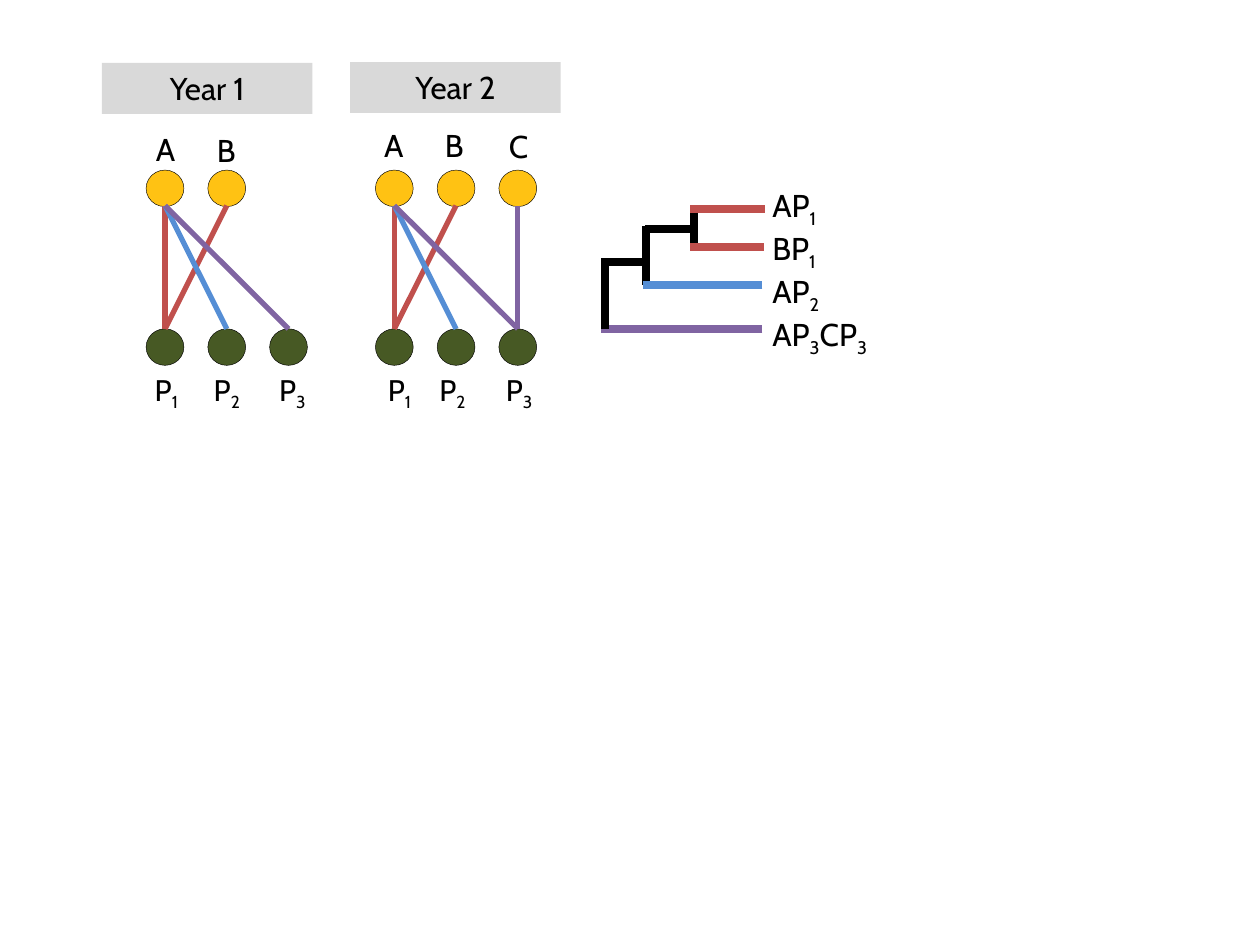
from dataclasses import dataclass

from lxml import etree
from pptx import Presentation
from pptx.dml.color import RGBColor
from pptx.enum import shapes as kinds, text as t
from pptx.oxml import ns
from pptx.util import Pt


@dataclass(frozen=True)
class Theme:
    font: str = "Cabin"
    body: float = 18
    node: float = 17
    black: str = "000000"
    band: str = "D9D9D9"
    upper: str = "FFC213"
    lower: str = "475924"
    red: str = "C0504D"
    blue: str = "558ED5"
    purple: str = "8064A2"
    outline: float = 0.25
    link: float = 3
    branch: float = 4.5


THEME = Theme()

# Network geometry
PITCH = 35.28
NODE_WIDTH, NODE_HEIGHT = 21.6, 20.88
UPPER_TOP, LOWER_TOP = 97.2, 187.92
LINK_TOP, LINK_BOTTOM = 117.5, 187.92

# Links are (upper column, lower column, colour); labels are (text, left, top)
SHARED_LINKS = [(0, 0, THEME.red), (1, 0, THEME.red),
                (0, 1, THEME.blue), (0, 2, THEME.purple)]
YEARS = [
    {"title": "Year 1", "band": (58.32, 36), "left": 83.52,
     "uppers": [("A", 83.52, 70.56), ("B", 118.08, 71.28)],
     "lowers": [79.2, 113.76, 151.2], "links": SHARED_LINKS},
    {"title": "Year 2", "band": (200.16, 35.5), "left": 214.56,
     "uppers": [("A", 213.84, 68.4), ("B", 248.4, 68.4), ("C", 285.12, 69.12)],
     "lowers": [212.4, 242.64, 280.8],
     "links": SHARED_LINKS + [(2, 2, THEME.purple)]},
]

# Tree segments are (x1, y1, x2, y2, colour), from back to front
TREE = [
    (396.72, 119.52, 396.72, 141.12, THEME.black),
    (396.72, 131.04, 368.64, 131.04, THEME.black),
    (369.36, 128.88, 369.36, 162.72, THEME.black),
    (367.92, 149.76, 343.44, 149.76, THEME.black),
    (435.6, 162.72, 367.2, 162.72, THEME.blue),
    (437.04, 119.52, 394.56, 119.52, THEME.red),
    (436.32, 141.12, 394.56, 141.12, THEME.red),
    (435.6, 187.92, 343.44, 187.92, THEME.purple),
    (345.6, 149.04, 345.6, 187.92, THEME.black),
]
LEAVES = ["AP1", "BP1", "AP2", "AP3CP3"]


def apply(target, values):
    for name, value in values.items():
        setattr(target, name, value)


def write(shape, lines, size, align):
    """Write lines of text, with every digit after a letter as a subscript."""
    frame = shape.text_frame
    apply(frame, {"word_wrap": True, "vertical_anchor": t.MSO_ANCHOR.TOP,
                  "margin_left": 0, "margin_right": 0})
    for index, line in enumerate(lines):
        paragraph = frame.paragraphs[0] if index == 0 else frame.add_paragraph()
        paragraph.alignment = align
        # A title with a space is one plain run
        spaced = line.replace("1", "|1|").replace("2", "|2|").replace("3", "|3|")
        parts = [line] if " " in line else spaced.split("|")
        for part in filter(None, parts):
            run = paragraph.add_run()
            run.text = part
            apply(run.font, {"name": THEME.font, "size": Pt(size)})
            run.font.color.rgb = RGBColor.from_string(THEME.black)
            if part.isdigit():
                run._r.get_or_add_rPr().set("baseline", "-25000")


def add_label(slide, lines, box, size=THEME.body, align=t.PP_ALIGN.CENTER):
    write(slide.shapes.add_textbox(*map(Pt, box)), lines, size, align)


def add_filled(slide, kind, box, fill, outlined=False):
    shape = slide.shapes.add_shape(kind, *map(Pt, box))
    shape.shadow.inherit = False
    shape.fill.solid()
    shape.fill.fore_color.rgb = RGBColor.from_string(fill)
    if outlined:
        shape.line.color.rgb = RGBColor.from_string(THEME.black)
        shape.line.width = Pt(THEME.outline)
    else:
        shape.line.fill.background()
    return shape


def add_line(slide, ends, color, width):
    line = slide.shapes.add_connector(kinds.MSO_CONNECTOR.STRAIGHT, *map(Pt, ends))
    line.line.color.rgb = RGBColor.from_string(color)
    line.line.width = Pt(width)
    etree.SubElement(line._element.spPr, ns.qn("a:effectLst"))


def add_nodes(slide, left, top, count, fill):
    for column in range(count):
        box = (left + column * PITCH, top, NODE_WIDTH, NODE_HEIGHT)
        add_filled(slide, kinds.MSO_SHAPE.OVAL, box, fill, outlined=True)


def add_network(slide, year):
    # Title band
    band = add_filled(slide, kinds.MSO_SHAPE.RECTANGLE,
                      (*year["band"], 120.24, 29.08), THEME.band)
    write(band, [year["title"]], THEME.body, t.PP_ALIGN.CENTER)

    # Nodes and the links between them
    add_nodes(slide, year["left"], LOWER_TOP, len(year["lowers"]), THEME.lower)
    add_nodes(slide, year["left"], UPPER_TOP, len(year["uppers"]), THEME.upper)
    center = year["left"] + NODE_WIDTH / 2
    for upper, lower, color in year["links"]:
        ends = (center + upper * PITCH, LINK_TOP, center + lower * PITCH, LINK_BOTTOM)
        add_line(slide, ends, color, THEME.link)

    # Node labels
    for name, left, top in year["uppers"]:
        add_label(slide, [name], (left, top, 22.32, 28.8))
    for number, left in enumerate(year["lowers"], 1):
        add_label(slide, [f"P{number}"], (left, 208.8, 31.68, 28.08), THEME.node)


def add_tree(slide):
    for *ends, color in TREE:
        add_line(slide, ends, color, THEME.branch)
    add_label(slide, LEAVES, (441.36, 102.96, 82.08, 108.72), align=t.PP_ALIGN.LEFT)


def main():
    presentation = Presentation()
    apply(presentation, {"slide_width": Pt(720), "slide_height": Pt(540)})
    slide = presentation.slides.add_slide(presentation.slide_layouts[6])
    for year in YEARS:
        add_network(slide, year)
    add_tree(slide)
    presentation.save("out.pptx")


main()
